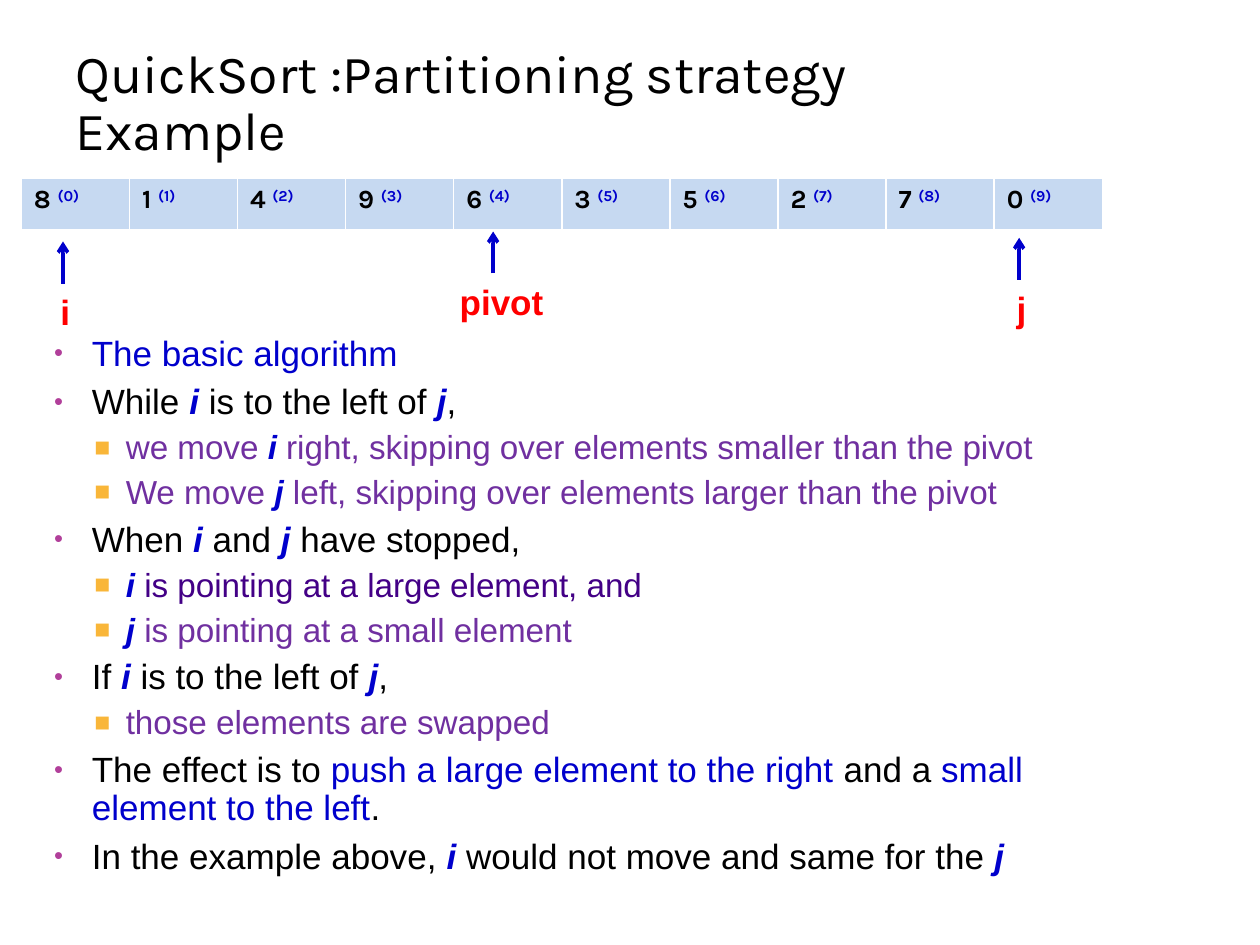
from dataclasses import dataclass

from lxml.etree import SubElement
from pptx import Presentation
from pptx.dml.color import RGBColor
from pptx.enum.shapes import MSO_CONNECTOR
from pptx.enum.text import MSO_ANCHOR, MSO_AUTO_SIZE
from pptx.oxml.ns import qn
from pptx.util import Pt


@dataclass(frozen=True)
class Theme:
    black: str = "000000"
    white: str = "FFFFFF"
    blue: str = "0000CC"
    purple: str = "7030A0"
    indigo: str = "430086"
    red: str = "FF0000"
    cell: str = "C6D9F1"
    heading_font: str = "Karla"
    body_font: str = "Arial"
    title_size: float = 30.6
    cell_size: float = 15
    label_size: float = 20


@dataclass(frozen=True)
class Level:
    size: float
    left: float
    hanging: float
    before: float
    bullet: str
    bullet_color: str
    bullet_scale: int


THEME = Theme()
LEVELS = (
    Level(20, 21.6, 21.6, 6, "•", "B13F9A", 73),
    Level(19, 41, 18, 5, "■", "F9B639", 80),
)
VALUES = (8, 1, 4, 9, 6, 3, 5, 2, 7, 0)
BLACK, BLUE, PURPLE, INDIGO = THEME.black, THEME.blue, THEME.purple, THEME.indigo
INDEX_NAMES = ("i", "j")
STEPS = (
    (0, (("The basic algorithm", BLUE),)),
    (0, (("While ", BLACK), ("i ", BLUE), ("is to the left of ", BLACK), ("j", BLUE), (",", BLACK))),
    (1, (("we move ", PURPLE), ("i ", BLUE),
         ("right, skipping over elements smaller than the pivot", PURPLE))),
    (1, (("We move ", PURPLE), ("j ", BLUE),
         ("left, skipping over elements larger than the pivot", PURPLE))),
    (0, (("When ", BLACK), ("i", BLUE), (" and ", BLACK), ("j", BLUE), (" have stopped,", BLACK))),
    (1, (("i ", BLUE), ("is pointing at a large element, and", INDIGO))),
    (1, (("j ", BLUE), ("is pointing at a small element", PURPLE))),
    (0, (("If ", BLACK), ("i", BLUE), (" is to the left of ", BLACK), ("j", BLUE), (",", BLACK))),
    (1, (("those elements are swapped", PURPLE),)),
    (0, (("The effect is to ", BLACK), ("push a large element to the right", BLUE), (" and a ", BLACK),
         ("small element to the left", BLUE), (".", BLACK))),
    (0, (("In the example above, ", BLACK), ("i", BLUE),
         (" would not move and same for the ", BLACK), ("j", BLUE))),
)
MARKERS = (
    ("i", (27.4, 162.7, 20.2, 31), 8.6),
    ("pivot", (255.6, 157, 64, 31), 26.2),
    ("j", (573.8, 160.6, 20.2, 31), 8.6),
)


def add_span(para, text, font_name, size, color, bold=False, italic=False):
    span = para.add_run()
    span.text = text
    font = span.font
    font.name, font.size = font_name, Pt(size)
    font.bold, font.italic = bold, italic
    font.color.rgb = RGBColor.from_string(color)
    return span


def add_text_frame(page, box):
    frame = page.shapes.add_textbox(*map(Pt, box)).text_frame
    frame.word_wrap = True
    return frame


def add_title(page, box):
    frame = add_text_frame(page, box)
    frame.vertical_anchor = MSO_ANCHOR.BOTTOM
    para = frame.paragraphs[0]
    para.line_spacing = 0.9
    style = (THEME.heading_font, THEME.title_size, THEME.black)
    add_span(para, "QuickSort :Partitioning strategy", *style)
    para.add_line_break()
    add_span(para, "Example", *style)


def set_borders(cell):
    properties = cell._tc.get_or_add_tcPr()
    for side, width in (("L", 1), ("R", 1), ("T", 1), ("B", 3)):
        border = SubElement(properties, qn(f"a:ln{side}"), w=str(Pt(width)))
        fill = SubElement(border, qn("a:solidFill"))
        SubElement(fill, qn("a:srgbClr"), val=THEME.white)


def add_array(page, box):
    table = page.shapes.add_table(1, len(VALUES), *map(Pt, box)).table
    table.rows[0].height = Pt(box[3])
    for index, value in enumerate(VALUES):
        table.columns[index].width = Pt(box[2] / len(VALUES))
        cell = table.cell(0, index)
        set_borders(cell)
        cell.fill.solid()
        cell.fill.fore_color.rgb = RGBColor.from_string(THEME.cell)
        para = cell.text_frame.paragraphs[0]
        style = (THEME.heading_font, THEME.cell_size)
        add_span(para, f"{value} ", *style, THEME.black, bold=True)
        span = add_span(para, f"({index})", *style, THEME.blue, bold=True)
        span._r.get_or_add_rPr().set("baseline", "30000")


def add_marker(page, name, box, arrow_offset):
    left, top = box[:2]
    arrow_left = left + arrow_offset
    arrow = page.shapes.add_connector(
        MSO_CONNECTOR.STRAIGHT, Pt(arrow_left), Pt(top - 0.7), Pt(arrow_left), Pt(top - 24.7))
    arrow.line.width = Pt(2)
    arrow.line.color.rgb = RGBColor.from_string(THEME.blue)
    SubElement(arrow.line._get_or_add_ln(), qn("a:tailEnd"), type="arrow")
    SubElement(arrow._element.spPr, qn("a:effectLst"))
    frame = add_text_frame(page, box)
    frame.word_wrap = False
    frame.auto_size = MSO_AUTO_SIZE.SHAPE_TO_FIT_TEXT
    add_span(frame.paragraphs[0], name, THEME.body_font, THEME.label_size, THEME.red, bold=True)


def set_bullet(para, level):
    properties = para._p.get_or_add_pPr()
    properties.set("marL", str(Pt(level.left)))
    properties.set("indent", str(-Pt(level.hanging)))
    color = SubElement(properties, qn("a:buClr"))
    SubElement(color, qn("a:srgbClr"), val=level.bullet_color)
    SubElement(properties, qn("a:buSzPct"), val=str(level.bullet_scale * 1000))
    SubElement(properties, qn("a:buFont"), typeface=THEME.body_font)
    SubElement(properties, qn("a:buChar"), char=level.bullet)


def add_algorithm(page, box):
    frame = add_text_frame(page, box)
    for number, (depth, spans) in enumerate(STEPS):
        para = frame.add_paragraph() if number else frame.paragraphs[0]
        level = LEVELS[depth]
        para.level = depth
        set_bullet(para, level)
        para.line_spacing = 0.9
        para.space_before = Pt(level.before if number else 0)
        for text, color in spans:
            is_index = text.strip() in INDEX_NAMES
            add_span(para, text, THEME.body_font, level.size, color, is_index, is_index)


def main():
    deck = Presentation()
    deck.slide_width, deck.slide_height = Pt(720), Pt(540)
    page = deck.slides.add_slide(deck.slide_layouts[6])
    add_title(page, (36, 30.2, 570.2, 66.2))
    add_array(page, (12.2, 102, 617.8, 30.2))
    add_algorithm(page, (23.8, 188.6, 617.8, 333.4))
    for name, box, arrow_offset in MARKERS:
        add_marker(page, name, box, arrow_offset)
    deck.save("out.pptx")


if __name__ == "__main__":
    main()
